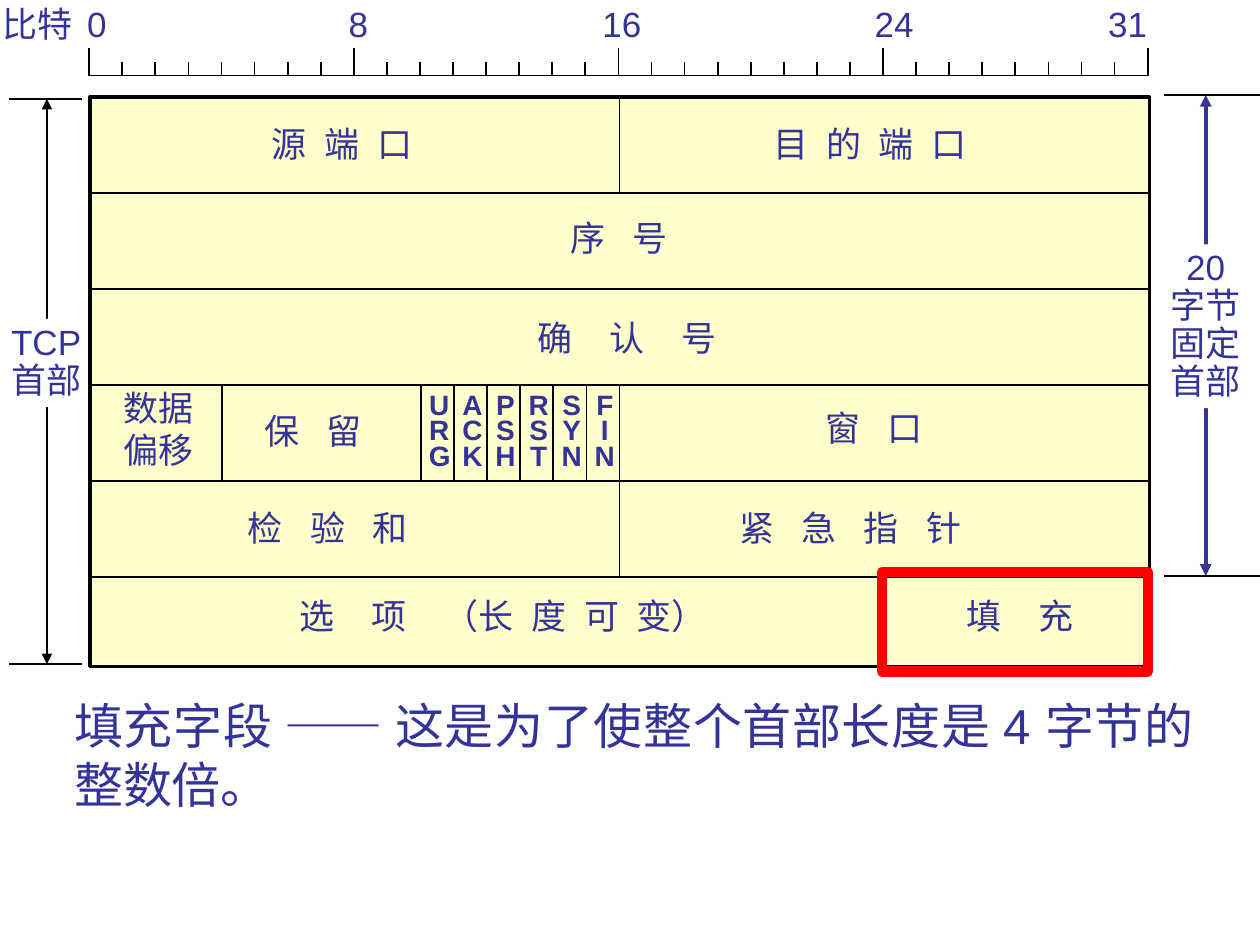
from dataclasses import dataclass

from pptx import Presentation
from pptx.dml.color import RGBColor
from pptx.enum.shapes import MSO_CONNECTOR, MSO_SHAPE
from pptx.enum.text import PP_ALIGN
from pptx.oxml.ns import qn
from pptx.util import Pt


@dataclass(frozen=True)
class Theme:
    """Colours, font and type sizes of the slide."""
    text: RGBColor = RGBColor(0x33, 0x33, 0x99)
    line: RGBColor = RGBColor(0, 0, 0)
    paper: RGBColor = RGBColor(0xFF, 0xFF, 0xFF)
    field: RGBColor = RGBColor(0xFF, 0xFF, 0xCC)
    highlight: RGBColor = RGBColor(0xFF, 0, 0)
    font: str = "Arial"
    label: float = 20
    flag: float = 16
    caption: float = 28
    space: float = 2.78


@dataclass(frozen=True)
class Box:
    """A rectangle in points."""
    left: float
    top: float
    width: float
    height: float

    @property
    def right(self):
        """Return the right edge."""
        return self.left + self.width

    @property
    def bottom(self):
        """Return the bottom edge."""
        return self.top + self.height

    def points(self):
        """Return left, top, width and height as lengths."""
        return [Pt(value) for value in (self.left, self.top, self.width, self.height)]


THEME = Theme()
BITS = 32
ROWS = (0, 54.9, 109.8, 164.7, 219.6, 274.4)
DIVIDERS = [(16, 0, 1), (16, 3, 5), (4, 3, 4)] + [(bit, 3, 4) for bit in range(10, 16)]
FLAGS = ("URG", "ACK", "PSH", "RST", "SYN", "FIN")
FIELDS = (
    (97, 10.8, 115, [("源 端 口", 1)]),
    (383.6, 10.8, 155, [("目 的 端 口", 1)]),
    (267.7, 64.8, 109, [("序 号", 2)]),
    (248.9, 121.7, 145, [("确 认 号", 3)]),
    (92.7, 175, 84, [("保 留", 2)]),
    (413.1, 173.6, 84, [("窗 口", 2)]),
    (83.3, 230.4, 135, [("检 验 和", 2)]),
    (364.1, 230.4, 184, [("紧 急 指 针", 2)]),
    (112.9, 280.8, 280, [("选 项 ", 3), ("（", 0), ("长 度 可 ", 1), ("变）", 0)]),
    (493.7, 280.8, 99, [("填 充", 3)]),
)


def add_line(slide, start, end, color=THEME.line, width=1, arrows=False):
    """Draw a straight line, with arrowheads at both ends if asked."""
    connector = slide.shapes.add_connector(
        MSO_CONNECTOR.STRAIGHT, *[Pt(value) for value in (*start, *end)])
    connector.line.color.rgb = color
    connector.line.width = Pt(width)
    properties = connector._element.spPr
    if arrows:
        outline = properties.find(qn("a:ln"))
        for name in ("a:headEnd", "a:tailEnd"):
            outline.makeelement(qn(name), {"type": "triangle"})
            outline.append(outline.makeelement(qn(name), {"type": "triangle"}))
    properties.append(properties.makeelement(qn("a:effectLst"), {}))


def add_text(slide, box, paragraphs, size=THEME.label, bold=False,
             align=PP_ALIGN.LEFT, spacing=1.0, wrap=True, fill=None):
    """Add a text box from paragraphs of (text, extra spacing steps) runs."""
    shape = slide.shapes.add_textbox(*box.points())
    if fill is not None:
        shape.fill.solid()
        shape.fill.fore_color.rgb = fill
    frame = shape.text_frame
    frame.word_wrap = wrap
    for index, runs in enumerate(paragraphs):
        paragraph = frame.paragraphs[0] if index == 0 else frame.add_paragraph()
        paragraph.alignment = align
        paragraph.line_spacing = spacing
        for text, steps in runs:
            run = paragraph.add_run()
            run.text = text
            run.font.name = THEME.font
            run.font.size = Pt(size)
            run.font.bold = bold
            run.font.color.rgb = THEME.text
            if steps:
                run.font._element.set("spc", str(round(steps * THEME.space * 100)))
    return shape


def add_rectangle(slide, box, color, width, fill=None):
    """Add an outlined rectangle."""
    shape = slide.shapes.add_shape(MSO_SHAPE.RECTANGLE, *box.points())
    shape.shadow.inherit = False
    shape.line.color.rgb = color
    shape.line.width = Pt(width)
    if fill is None:
        shape.fill.background()
    else:
        shape.fill.solid()
        shape.fill.fore_color.rgb = fill


def plain(lines):
    """Turn lines into paragraphs of one unspaced run."""
    return [[(line, 0)] for line in lines]


def add_ruler(slide, box):
    """Draw the bit ruler with its numbers."""
    add_line(slide, (box.left, box.bottom), (box.right, box.bottom))
    for bit in range(BITS + 1):
        x = box.left + bit * box.width / BITS
        height = box.height if bit % 8 == 0 else box.height / 2
        add_line(slide, (x, box.bottom - height), (x, box.bottom))
    label_box = Box(box.left - 56.8, box.top - 29.5, 690, 31)
    shape = add_text(slide, label_box, plain(["比特\t0\t8\t16\t24\t31"]))
    properties = shape.text_frame.paragraphs[0]._p.get_or_add_pPr()
    tabs = properties.makeelement(qn("a:tabLst"), {})
    for stop in (48.5, 198, 343, 498.5, 632):
        tabs.append(tabs.makeelement(qn("a:tab"), {"pos": str(Pt(stop)), "algn": "l"}))
    properties.append(tabs)


def add_span(slide, box, label_box, lines, color, width, align):
    """Draw a height marker with end bars, arrow and label."""
    for y in (box.top, box.bottom):
        add_line(slide, (box.left, y), (box.right, y))
    x = label_box.left + label_box.width / 2
    add_line(slide, (x, box.top), (x, box.bottom), color, width, arrows=True)
    add_text(slide, label_box, plain(lines), align=align, spacing=0.9,
             wrap=False, fill=THEME.paper)


def add_header(slide, box):
    """Draw the header grid with field names and flags."""
    add_rectangle(slide, box, THEME.line, 2, THEME.field)
    edges = [box.top + row for row in ROWS] + [box.bottom]
    for y in edges[1:-1]:
        add_line(slide, (box.left, y), (box.right, y))
    step = box.width / BITS
    for bit, first, last in DIVIDERS:
        x = box.left + bit * step
        add_line(slide, (x, edges[first]), (x, edges[last]))
    for left, top, width, runs in FIELDS:
        add_text(slide, Box(box.left + left, box.top + top, width, 31), [runs])
    add_text(slide, Box(box.left + 12.1, box.top + 162, 60, 54.7), plain(["数据", "偏移"]))
    for index, flag in enumerate(FLAGS):
        flag_box = Box(box.left + (10 + index) * step - 2.5, edges[3] + 2.4, 26, 50.4)
        add_text(slide, flag_box, plain(flag), THEME.flag, True,
                 PP_ALIGN.CENTER, 0.75, wrap=False)


def main():
    """Build and save the slide."""
    presentation = Presentation()
    presentation.slide_width, presentation.slide_height = Pt(720), Pt(540)
    slide = presentation.slides.add_slide(presentation.slide_layouts[6])
    add_span(slide, Box(5, 56.5, 42, 323), Box(-0.7, 182.2, 55, 50.4),
             ["TCP", "首部"], THEME.line, 1, PP_ALIGN.LEFT)
    add_span(slide, Box(665.3, 54.2, 54.7, 274.9), Box(661.5, 139.7, 55, 93.6),
             ["20", "字节", "固定", "首部"], THEME.text, 2.25, PP_ALIGN.CENTER)
    add_header(slide, Box(51.3, 55.4, 605.5, 325.4))
    add_ruler(slide, Box(51, 27.3, 604.8, 15.9))
    add_rectangle(slide, Box(504, 326.9, 151.9, 56.9), THEME.highlight, 6)
    add_text(slide, Box(35.3, 393.8, 653.8, 74.9),
             plain(["填充字段 —— 这是为了使整个首部长度是 4 字节的整数倍。"]),
             THEME.caption, align=PP_ALIGN.JUSTIFY)
    presentation.save("out.pptx")


if __name__ == "__main__":
    main()
